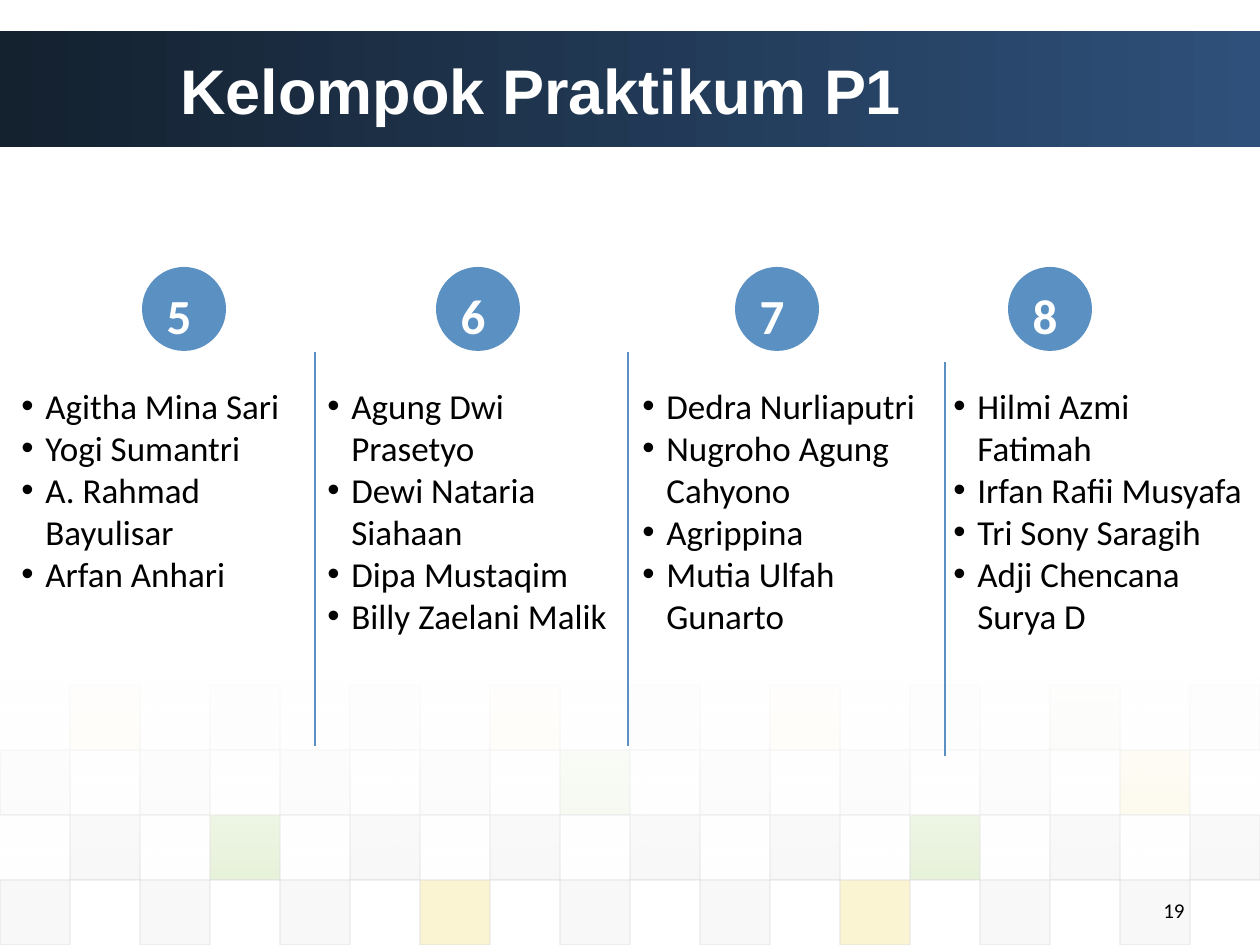
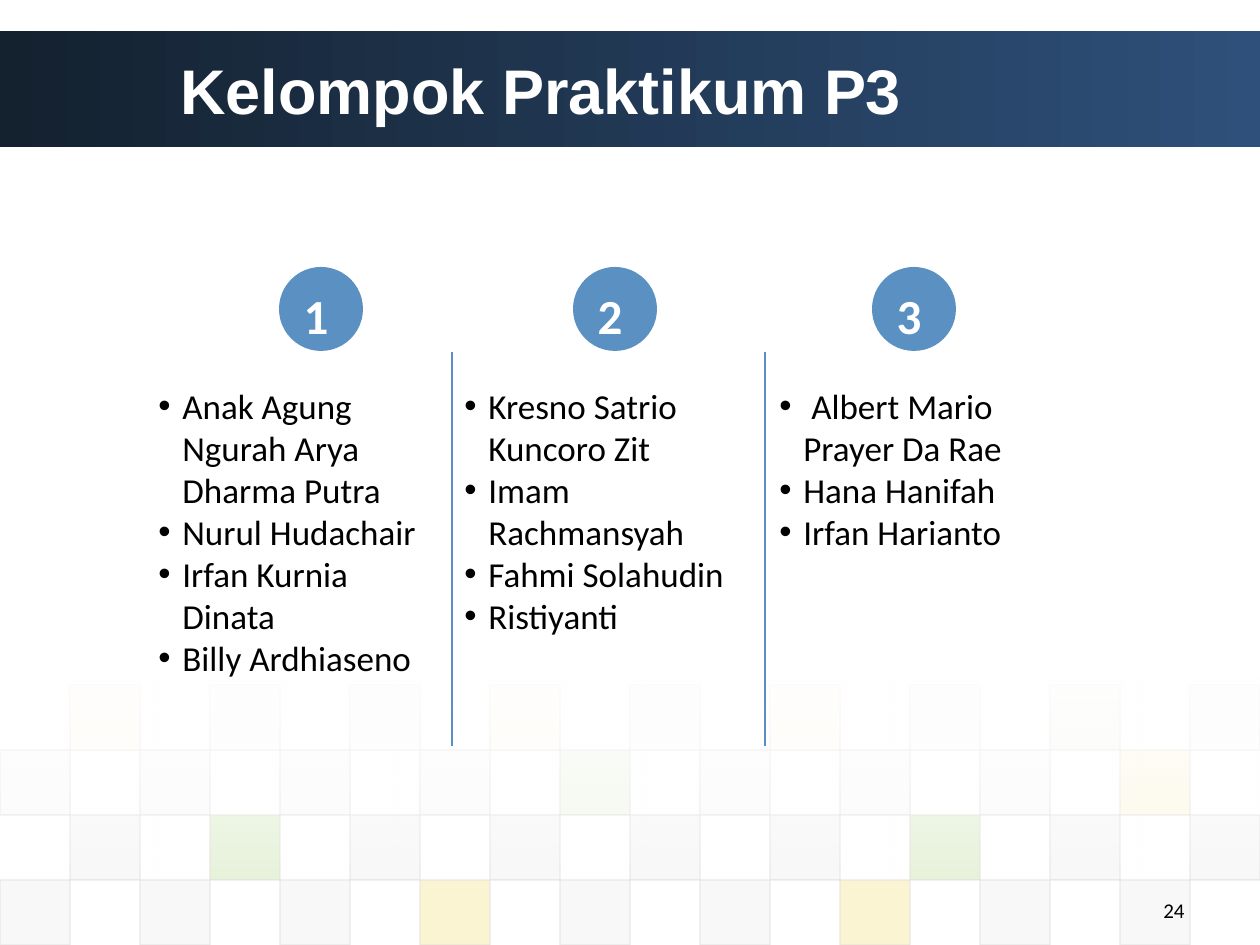
from dataclasses import dataclass

from lxml.etree import SubElement
from pptx import Presentation
from pptx.dml.color import RGBColor
from pptx.enum.shapes import MSO_CONNECTOR, MSO_SHAPE
from pptx.enum.text import MSO_ANCHOR, MSO_AUTO_SIZE, PP_ALIGN
from pptx.oxml.ns import qn
from pptx.util import Emu, Pt

PX_PER_INCH = 126


def px(n):
    return Emu(round(n * 914400 / PX_PER_INCH))


@dataclass(frozen=True)
class Theme:
    white: str = "FFFFFF"
    text: str = "000000"
    accent: str = "5A90C2"
    band_from: str = "14212F"
    band_to: str = "2E507A"
    grey: str = "DDDDDD"
    pale: str = "EAEAEA"
    green: str = "8AC246"
    yellow: str = "EFC821"
    title_font: str = "Arial"
    body_font: str = "Calibri"
    title_size: int = 36
    number_size: int = 28
    body_size: int = 20
    page_size: int = 12


THEME = Theme()
WIDTH, HEIGHT = 1260, 945
BAND_TOP, BAND_HEIGHT = 31, 116

# One letter per tile: D grey, E pale, G green, Y yellow
TILE_COLORS = {"D": THEME.grey, "E": THEME.pale, "G": THEME.green, "Y": THEME.yellow}
TILE_WIDTH, TILE_HEIGHT, TILES_TOP = 70, 65, 685
# first column, tile colours, opacity in percent
TILE_ROWS = [
    (1, "YEEYDYEGE", 5),
    (0, "DDDDGDDDY", 10),
    (1, "DGDDDDGDD", 20),
    (0, "DDDYDDYDD", 20),
]

LIST_TOP, CIRCLE_TOP, CIRCLE_SIZE = 378, 267, 84
# list left, list width, circle left
COLUMNS = [(9, 285, 142), (315, 315, 436), (630, 305, 735), (941, 319, 1008)]
# x, top of the line that follows each column
DIVIDERS = [(315, 352), (628, 352), (945, 362)]
DIVIDER_LENGTH = 394

# title, page number, number of the first group, shift of the columns, members
GROUP_SLIDES = [
    ("Kelompok Praktikum P1", 19, 5, 0, [
        ["Agitha Mina Sari", "Yogi Sumantri", "A. Rahmad Bayulisar", "Arfan Anhari"],
        ["Agung Dwi Prasetyo", "Dewi Nataria Siahaan", "Dipa Mustaqim",
         "Billy Zaelani Malik"],
        ["Dedra Nurliaputri", "Nugroho Agung Cahyono", "Agrippina",
         "Mutia Ulfah Gunarto"],
        ["Hilmi Azmi Fatimah", "Irfan Rafii Musyafa", "Tri Sony Saragih",
         "Adji Chencana Surya D"],
    ]),
    ("Kelompok Praktikum P3", 24, 1, 137, [
        ["Anak Agung Ngurah Arya Dharma Putra", "Nurul Hudachair",
         "Irfan Kurnia Dinata", "Billy Ardhiaseno"],
        ["Kresno Satrio Kuncoro Zit", "Imam Rachmansyah", "Fahmi Solahudin",
         "Ristiyanti"],
        [" Albert Mario Prayer Da Rae", "Hana Hanifah", "Irfan Harianto"],
    ]),
]


def set_alphas(sp, *percents):
    """Give the shape's colours, in document order, these opacities."""
    for clr, percent in zip(sp.element.spPr.iter(qn("a:srgbClr")), percents):
        SubElement(clr, qn("a:alpha"), val=str(percent * 1000))


class Deck:
    def __init__(self, theme):
        self.theme = theme
        self.prs = Presentation()
        self.prs.slide_width, self.prs.slide_height = px(WIDTH), px(HEIGHT)
        self.s = None

    def new_slide(self):
        self.s = self.prs.slides.add_slide(self.prs.slide_layouts[6])

    def shape(self, kind, x, y, w, h, fill=None, line=None):
        sp = self.s.shapes.add_shape(kind, px(x), px(y), px(w), px(h))
        sp.shadow.inherit = False
        if fill:
            sp.fill.solid()
            sp.fill.fore_color.rgb = RGBColor.from_string(fill)
        if line:
            sp.line.color.rgb = RGBColor.from_string(line)
            sp.line.width = Pt(0.75)
        else:
            sp.line.fill.background()
        return sp

    def gradient(self, x, y, w, h, colors, angle):
        sp = self.shape(MSO_SHAPE.RECTANGLE, x, y, w, h)
        sp.fill.gradient()
        sp.fill.gradient_angle = angle
        for stop, color, position in zip(sp.fill.gradient_stops, colors, (0, 1)):
            stop.color.rgb = RGBColor.from_string(color)
            stop.position = position
        return sp

    def run(self, p, text, size, color, font=None, bold=False):
        r = p.add_run()
        r.text = text
        r.font.name = font or self.theme.body_font
        r.font.size = Pt(size)
        r.font.bold = bold
        r.font.color.rgb = RGBColor.from_string(color)

    def text_box(self, x, y, w, h):
        tf = self.s.shapes.add_textbox(px(x), px(y), px(w), px(h)).text_frame
        tf.word_wrap = True
        return tf

    def tiles(self):
        t = self.theme
        for row, (first, letters, opacity) in enumerate(TILE_ROWS):
            for i, letter in enumerate(letters):
                sp = self.shape(MSO_SHAPE.RECTANGLE, (first + 2 * i) * TILE_WIDTH,
                                TILES_TOP + row * TILE_HEIGHT, TILE_WIDTH, TILE_HEIGHT,
                                TILE_COLORS[letter], t.grey)
                set_alphas(sp, opacity, 60)
        veil = self.gradient(0, 677, WIDTH, 204, (t.white, t.white), 270)
        set_alphas(veil, 90, 0)

    def title(self, text):
        t = self.theme
        tf = self.text_box(168, BAND_TOP, WIDTH - 168, BAND_HEIGHT)
        tf.vertical_anchor = MSO_ANCHOR.MIDDLE
        self.run(tf.paragraphs[0], text, t.title_size, t.white, t.title_font, True)

    def page_number(self, number):
        p = self.text_box(903, 891, 294, 42).paragraphs[0]
        p.alignment = PP_ALIGN.RIGHT
        self.run(p, str(number), self.theme.page_size, self.theme.text)

    def frame(self, title, number):
        """Draw what every slide shares: band, tiles, title and page number."""
        t = self.theme
        self.gradient(0, BAND_TOP, WIDTH, BAND_HEIGHT, (t.band_from, t.band_to), 0)
        self.tiles()
        self.title(title)
        self.page_number(number)

    def number_circle(self, x, number):
        t = self.theme
        sp = self.shape(MSO_SHAPE.OVAL, x, CIRCLE_TOP, CIRCLE_SIZE, CIRCLE_SIZE, t.accent)
        tf = sp.text_frame
        tf.vertical_anchor = MSO_ANCHOR.TOP
        p = tf.paragraphs[0]
        p.alignment = PP_ALIGN.LEFT
        self.run(p, str(number), t.number_size, t.white, bold=True)

    def bullets(self, x, w, items):
        tf = self.text_box(x, LIST_TOP, w, 267)
        tf.auto_size = MSO_AUTO_SIZE.SHAPE_TO_FIT_TEXT
        for i, item in enumerate(items):
            p = tf.add_paragraph() if i else tf.paragraphs[0]
            pPr = p._p.get_or_add_pPr()
            pPr.set("marL", str(px(24)))
            pPr.set("indent", str(-px(24)))
            SubElement(pPr, qn("a:buFont"), typeface="Arial")
            SubElement(pPr, qn("a:buChar"), char="•")
            self.run(p, item, self.theme.body_size, self.theme.text)

    def divider(self, x, top):
        line = self.s.shapes.add_connector(MSO_CONNECTOR.STRAIGHT, px(x), px(top),
                                           px(x), px(top + DIVIDER_LENGTH))
        line.line.color.rgb = RGBColor.from_string(self.theme.accent)
        line.line.width = Pt(1.5)
        SubElement(line.element.spPr, qn("a:effectLst"))


def main():
    deck = Deck(THEME)
    for title, page, first_group, shift, groups in GROUP_SLIDES:
        deck.new_slide()
        deck.frame(title, page)
        for i, (members, column) in enumerate(zip(groups, COLUMNS)):
            list_x, list_w, circle_x = column
            deck.bullets(list_x + shift, list_w, members)
            deck.number_circle(circle_x + shift, first_group + i)
        for x, top in DIVIDERS[:len(groups) - 1]:
            deck.divider(x + shift, top)
    deck.prs.save("out.pptx")


if __name__ == "__main__":
    main()
